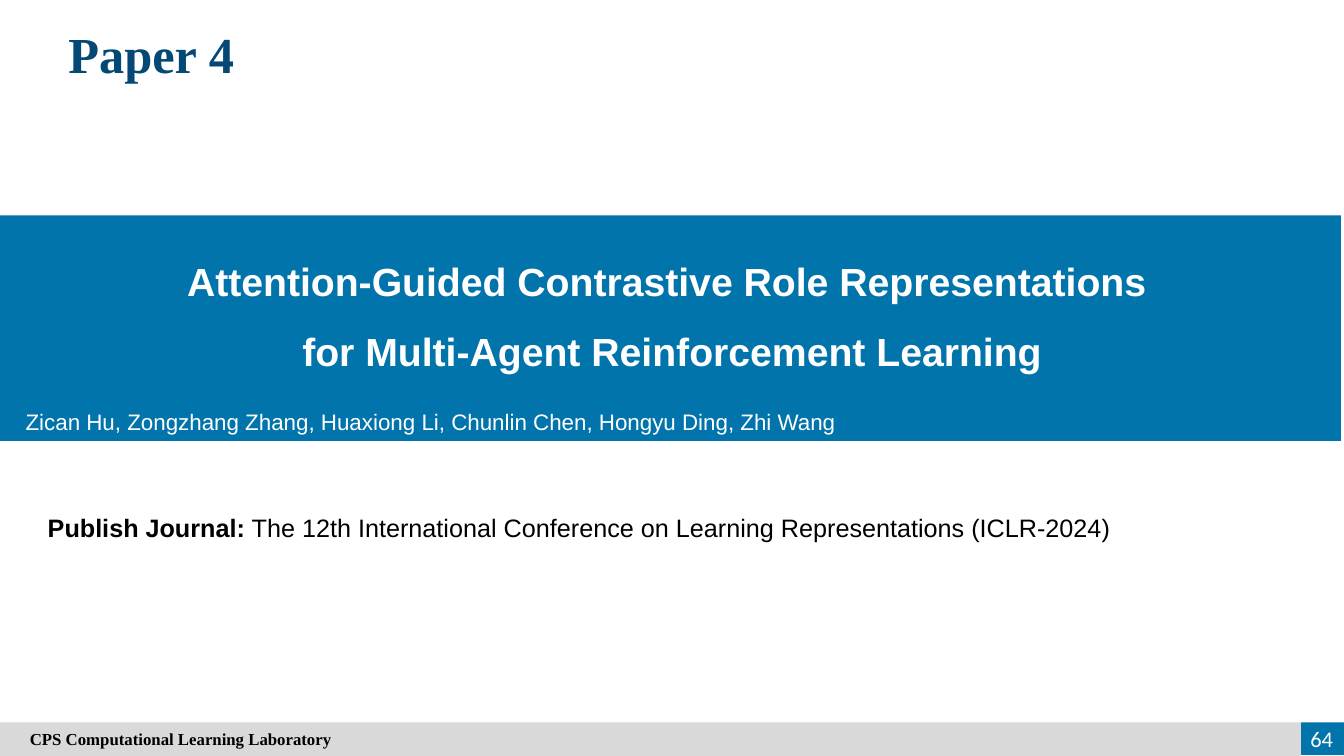
"""Build the title slide for Paper 4."""
from dataclasses import dataclass

import pptx
import pptx.dml.color
import pptx.enum.shapes
import pptx.enum.text
import pptx.util

RGBColor = pptx.dml.color.RGBColor
Align = pptx.enum.text.PP_ALIGN
Anchor = pptx.enum.text.MSO_ANCHOR

EMU_PER_PX = 9525
BLUE = RGBColor(0x01, 0x74, 0xAB)
NAVY = RGBColor(0x04, 0x48, 0x75)
GRAY = RGBColor(0xD9, 0xD9, 0xD9)
WHITE = RGBColor(0xFF, 0xFF, 0xFF)
BLACK = RGBColor(0x00, 0x00, 0x00)


@dataclass(frozen=True)
class Box:
    left: int
    top: int
    width: int
    height: int

    def emu(self) -> list[pptx.util.Emu]:
        return [px(n) for n in (self.left, self.top, self.width, self.height)]


@dataclass(frozen=True)
class Bar:
    box: Box
    fill: RGBColor


TITLE_BAND = Bar(Box(0, 205, 1277, 215), BLUE)
PAGE_BAR = Bar(Box(1239, 688, 41, 31), BLUE)
FOOTER_BAR = Bar(Box(0, 688, 1239, 32), GRAY)


def px(n: int) -> pptx.util.Emu:
    return pptx.util.Emu(n * EMU_PER_PX)


def add_bar(slide, bar: Bar) -> None:
    s = slide.shapes.add_shape(pptx.enum.shapes.MSO_SHAPE.RECTANGLE, *bar.box.emu())
    s.shadow.inherit = False
    s.fill.solid()
    s.fill.fore_color.rgb = bar.fill
    s.line.fill.background()


def add_text(slide, box: Box, text: str, *, size: int, color: RGBColor,
             font: str = "Arial", bold: bool = False, lead: str = "",
             align: Align = Align.LEFT, anchor: Anchor = Anchor.TOP,
             spacing: float = 1.0) -> None:
    """Add a text box with one paragraph per line and an optional bold lead."""
    tf = slide.shapes.add_textbox(*box.emu()).text_frame
    tf.word_wrap = True
    tf.vertical_anchor = anchor
    for i, line in enumerate(text.split("\n")):
        p = tf.add_paragraph() if i else tf.paragraphs[0]
        p.alignment = align
        p.line_spacing = spacing
        runs = [(line, bold)]
        if lead and i == 0:
            runs.insert(0, (lead, True))
        for words, is_bold in runs:
            r = p.add_run()
            r.text = words
            r.font.name = font
            r.font.size = pptx.util.Pt(size)
            r.font.bold = is_bold
            r.font.color.rgb = color


def main() -> None:
    prs = pptx.Presentation()
    prs.slide_width, prs.slide_height = px(1280), px(720)
    slide = prs.slides.add_slide(prs.slide_layouts[6])

    for bar in (TITLE_BAND, PAGE_BAR, FOOTER_BAR):
        add_bar(slide, bar)

    add_text(slide, Box(0, 221, 1280, 137),
             "Attention-Guided Contrastive Role Representations \n"
             "for Multi-Agent Reinforcement Learning",
             size=28, color=WHITE, bold=True, align=Align.CENTER,
             anchor=Anchor.MIDDLE, spacing=1.5)
    add_text(slide, Box(15, 384, 1265, 36),
             "Zican Hu, Zongzhang Zhang, Huaxiong Li, Chunlin Chen, Hongyu Ding, Zhi Wang",
             size=16, color=WHITE)
    add_text(slide, Box(36, 17, 216, 68), "Paper 4", size=36, color=NAVY,
             font="Times New Roman", bold=True, align=Align.CENTER)
    add_text(slide, Box(19, 688, 1220, 32), "CPS Computational Learning Laboratory",
             size=12, color=BLACK, font="Times New Roman", bold=True,
             anchor=Anchor.MIDDLE)
    add_text(slide, Box(1218, 684, 61, 38), "64", size=16, color=WHITE,
             font="Calibri", align=Align.RIGHT, anchor=Anchor.MIDDLE)
    add_text(slide, Box(36, 483, 1110, 38),
             " The 12th International Conference on Learning Representations (ICLR-2024)",
             size=18, color=BLACK, lead="Publish Journal:")

    prs.save("out.pptx")


if __name__ == "__main__":
    main()
